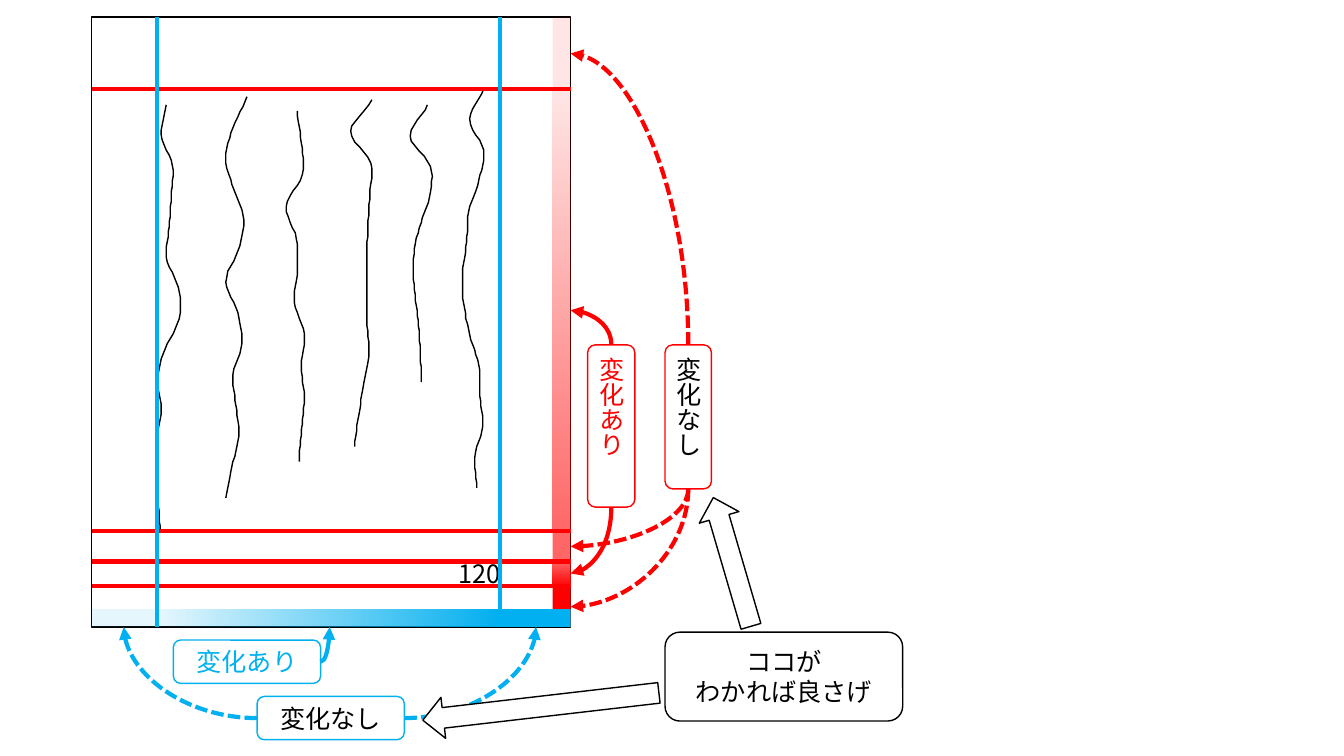
import pptx
import pptx.util
import pptx.dml.color
import pptx.enum.dml
import pptx.enum.shapes
import pptx.enum.text
import pptx.oxml.ns
from lxml import etree

Cm, Pt = pptx.util.Cm, pptx.util.Pt
RGBColor = pptx.dml.color.RGBColor
SHAPE = pptx.enum.shapes.MSO_SHAPE
CONNECTOR = pptx.enum.shapes.MSO_CONNECTOR
ALIGN = pptx.enum.text.PP_ALIGN
qn = pptx.oxml.ns.qn

BLACK = RGBColor(0, 0, 0)
WHITE = RGBColor(255, 255, 255)
RED = RGBColor(255, 0, 0)
BLUE = RGBColor(0, 176, 240)
FONT = "Noto Sans CJK JP"

STROKE_UNIT = Cm(2.54) / 100
SAMPLES = 6
STROKES = [
    (88, 484, [480, 466, 480, 475, 465, 463, 459, 460, 466, 475, 476, 479, 471, 473]),
    (104, 379, [424, 407, 427, 426, 416, 410, 411, 415, 417, 418]),
    (99, 443, [369, 348, 368, 367, 365, 364, 364, 364, 366, 361, 356, 352]),
    (110, 458, [295, 299, 300, 284, 294, 295, 292, 302, 299, 302, 299, 297]),
    (96, 494, [245, 231, 224, 232, 242, 236, 224, 236, 240, 231, 234, 237, 230, 224]),
    (104, 527, [165, 160, 171, 170, 168, 165, 177, 178, 164, 156, 160, 156, 156, 157, 159]),
]

LEFT, TOP, RIGHT, BOTTOM = 2.31, 0.43, 14.38, 15.8
ROWS = [2.24, 13.39, 14.15, 14.76]
COLUMNS = [3.96, 12.6]
BAND = 0.45
RED_OPACITIES = [(10, 10), (10, 60), (60, 60), (60, 100), (100, 100)]
BLUE_OPACITIES = [(10, 10), (10, 100), (100, 100)]

LABELS = {
    "blue change": (["変化あり"], 4.37, 16.13, 3.71, 1.09, BLUE, BLUE),
    "blue same": (["変化なし"], 6.48, 17.55, 3.71, 1.09, BLUE, BLACK),
    "red same": (["変化なし"], 16.76, 8.69, 1.17, 3.63, RED, BLACK),
    "red change": (["変化あり"], 14.81, 8.69, 1.19, 4.09, RED, RED),
    "note": (["ココが", "わかれば良さげ"], 16.76, 15.93, 5.99, 2.24, BLACK, BLACK),
}
TARGETS = {
    "blue same": [13.51, 3.12],
    "blue change": [8.31],
    "red same": [1.35, 13.77, 15.29],
    "red change": [7.82, 14.45],
}
BLOCK_ARROWS = [(17.93, 12.47, 3.38, 163.7), (13.11, 14.81, 5.99, 83.4)]


def smooth_points(top, bottom, xs):
    """Return points of a smooth stroke through evenly spaced heights."""
    step = (bottom - top) / (len(xs) - 1)
    padded = [xs[0], *xs, xs[-1]]
    points = []
    for index in range(len(xs) - 1):
        a, b, c, d = padded[index:index + 4]
        for sample in range(SAMPLES):
            t = sample / SAMPLES
            bend = (c - a) * t + (2 * a - 5 * b + 4 * c - d) * t**2 + (3 * b - a - 3 * c + d) * t**3
            points.append((b + bend / 2, top + (index + t) * step))
    return points + [(xs[-1], bottom)]


def style(shape, fill, line):
    """Set a solid or empty fill and a thin or empty outline."""
    shape.shadow.inherit = False
    if fill is None:
        shape.fill.background()
    else:
        shape.fill.solid()
        shape.fill.fore_color.rgb = fill
    if line is None:
        shape.line.fill.background()
    else:
        shape.line.color.rgb = line
        shape.line.width = Pt(1)


def add_box(shapes, kind, left, top, width, height, fill, line):
    """Add a preset shape measured in centimetres."""
    shape = shapes.add_shape(kind, Cm(left), Cm(top), Cm(width), Cm(height))
    style(shape, fill, line)
    return shape


def add_band(shapes, left, top, width, height, color, opacities, angle):
    """Add an edge band whose opacity is constant or rises along it."""
    band = add_box(shapes, SHAPE.RECTANGLE, left, top, width, height, color, None)
    if opacities[0] != opacities[1]:
        band.fill.gradient()
        band.fill.gradient_angle = angle
        for stop in band.fill.gradient_stops:
            stop.color.rgb = color
    for node, opacity in zip(band.element.spPr.iter(qn("a:srgbClr")), opacities):
        if opacity < 100:
            etree.SubElement(node, qn("a:alpha")).set("val", str(opacity * 1000))


def write(text_frame, lines, color, align):
    """Write the lines as paragraphs in the slide font."""
    for index, line in enumerate(lines):
        paragraph = text_frame.add_paragraph() if index else text_frame.paragraphs[0]
        paragraph.text = line
        paragraph.alignment = align
        paragraph.font.size = Pt(18)
        paragraph.font.color.rgb = color
        paragraph.font.name = FONT
        default_run = paragraph._p.pPr.find(qn("a:defRPr"))
        etree.SubElement(default_run, qn("a:ea")).set("typeface", FONT)


def add_line(shapes, kind, x1, y1, x2, y2, color):
    """Add a thick connector without shadow."""
    connector = shapes.add_connector(kind, Cm(x1), Cm(y1), Cm(x2), Cm(y2))
    connector.line.color.rgb = color
    connector.line.width = Pt(3)
    etree.SubElement(connector.element.spPr, qn("a:effectLst"))
    return connector


def add_curve(shapes, name, target):
    """Add a quarter-turn arrow from a label to the frame edge."""
    lines, left, top, width, height, color, font_color = LABELS[name]
    turn = 0
    if color == BLUE:
        x1 = left + width if target > left + width / 2 else left
        x2, y1, y2 = target, top + height / 2, BOTTOM
    else:
        start_x = left + width / 2
        start_y = top + height if target > top else top
        turn = 90 if target > top else 270
        middle_x, middle_y = (start_x + RIGHT) / 2, (start_y + target) / 2
        half_width = abs(target - start_y) / 2
        half_height = (start_x - RIGHT) / 2 * (1 if turn == 90 else -1)
        x1, x2 = middle_x - half_width, middle_x + half_width
        y1, y2 = middle_y - half_height, middle_y + half_height
    curve = add_line(shapes, CONNECTOR.CURVE, x1, y1, x2, y2, color)
    properties = curve.element.spPr
    properties.find(qn("a:prstGeom")).set("prst", "curvedConnector2")
    if turn:
        properties.find(qn("a:xfrm")).set("rot", str(turn * 60000))
    if name.endswith("same"):
        curve.line.dash_style = pptx.enum.dml.MSO_LINE.SQUARE_DOT
    etree.SubElement(properties.find(qn("a:ln")), qn("a:tailEnd")).set("type", "triangle")


def main():
    """Build the slide and save it."""
    presentation = pptx.Presentation()
    presentation.slide_width, presentation.slide_height = Cm(33.87), Cm(19.05)
    shapes = presentation.slides.add_slide(presentation.slide_layouts[6]).shapes

    for stroke in STROKES:
        start, *points = smooth_points(*stroke)
        builder = shapes.build_freeform(*start, scale=STROKE_UNIT)
        builder.add_line_segments(points, close=False)
        style(builder.convert_to_shape(), None, BLACK)

    number = shapes.add_textbox(Cm(11.3), Cm(13.94), Cm(1.57), Cm(1.02))
    number.text_frame.word_wrap = False
    write(number.text_frame, ["120"], BLACK, ALIGN.LEFT)
    add_box(shapes, SHAPE.RECTANGLE, LEFT, TOP, RIGHT - LEFT, BOTTOM - TOP, None, BLACK)

    for top, end, opacities in zip([TOP] + ROWS, ROWS + [BOTTOM], RED_OPACITIES):
        add_band(shapes, RIGHT - BAND, top, BAND, end - top, RED, opacities, 270)
    for left, end, opacities in zip([LEFT] + COLUMNS, COLUMNS + [RIGHT], BLUE_OPACITIES):
        add_band(shapes, left, BOTTOM - BAND, end - left, BAND, BLUE, opacities, 0)

    for y in ROWS:
        add_line(shapes, CONNECTOR.STRAIGHT, LEFT, y, RIGHT, y, RED)
    for x in COLUMNS:
        add_line(shapes, CONNECTOR.STRAIGHT, x, BOTTOM, x, TOP, BLUE)

    for lines, left, top, width, height, outline, color in LABELS.values():
        label = add_box(shapes, SHAPE.ROUNDED_RECTANGLE, left, top, width, height, WHITE, outline)
        label.text_frame.vertical_anchor = pptx.enum.text.MSO_ANCHOR.MIDDLE
        write(label.text_frame, lines, color, ALIGN.CENTER)
        if height > width:
            label.text_frame._txBody.bodyPr.set("vert", "eaVert")
    for name, targets in TARGETS.items():
        for target in targets:
            add_curve(shapes, name, target)
    for left, top, length, rotation in BLOCK_ARROWS:
        arrow = add_box(shapes, SHAPE.DOWN_ARROW, left, top, 1.04, length, WHITE, BLACK)
        arrow.rotation = rotation

    presentation.save("out.pptx")


if __name__ == "__main__":
    main()
